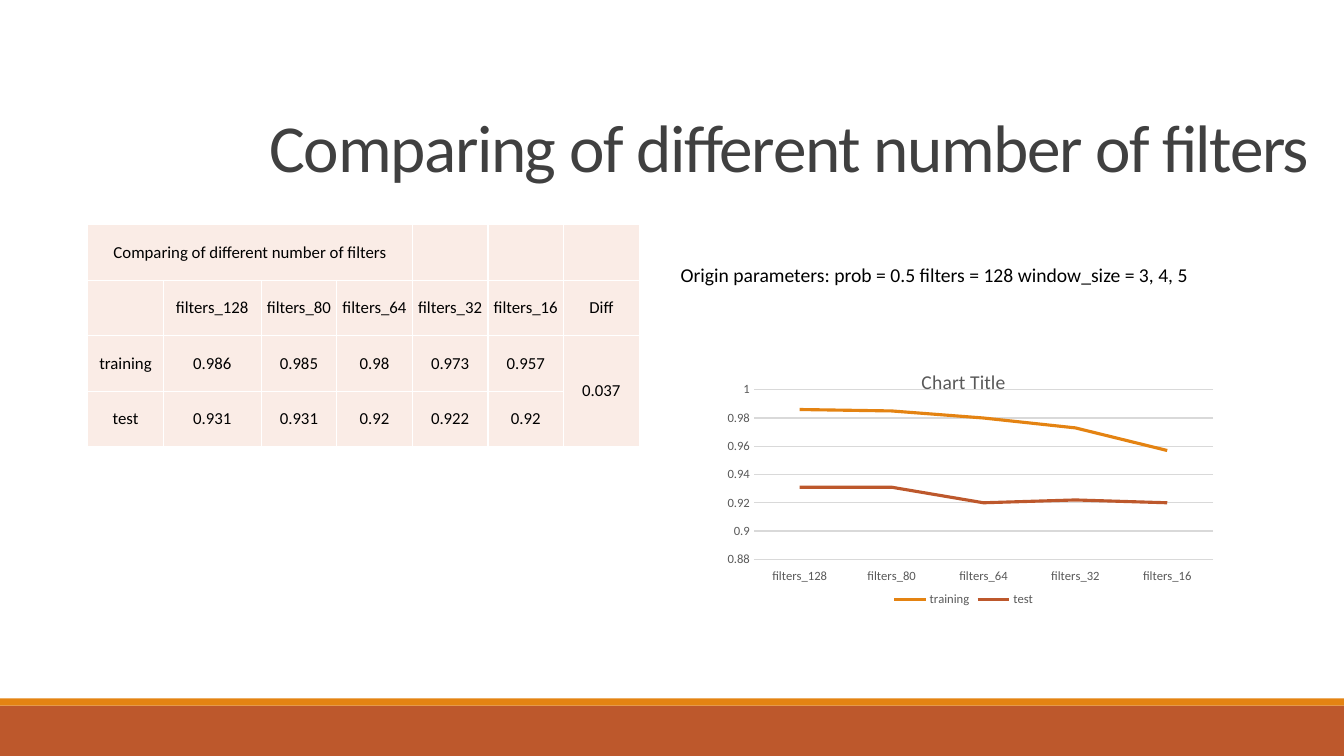
from dataclasses import dataclass

from lxml.etree import SubElement
from pptx import Presentation
from pptx.chart.data import CategoryChartData
from pptx.dml.color import RGBColor
from pptx.enum.chart import XL_CHART_TYPE as ChartType
from pptx.enum.chart import XL_LEGEND_POSITION as LegendPosition
from pptx.enum.chart import XL_TICK_LABEL_POSITION as LabelPosition
from pptx.enum.chart import XL_TICK_MARK as TickMark
from pptx.enum.shapes import MSO_SHAPE as Shape
from pptx.enum.text import MSO_ANCHOR as Anchor
from pptx.enum.text import PP_ALIGN as Align
from pptx.oxml import parse_xml
from pptx.oxml.ns import nsdecls, qn
from pptx.util import Inches, Pt


@dataclass(frozen=True)
class Theme:
    font: str = "Calibri"
    orange: str = "E48312"
    rust: str = "BD582C"
    blush: str = "FAECE6"
    white: str = "FFFFFF"
    black: str = "000000"
    title: str = "404040"
    label: str = "595959"
    grid: str = "D9D9D9"
    title_size: float = 48
    note_size: float = 14
    cell_size: float = 12
    axis_size: float = 9


THEME = Theme()
HEADING = "Comparing of different number of filters"
FILTERS = [f"filters_{count}" for count in (128, 80, 64, 32, 16)]
ACCURACY = {
    "training": (0.986, 0.985, 0.98, 0.973, 0.957),
    "test": (0.931, 0.931, 0.92, 0.922, 0.92),
}
DIFF = "0.037"


def rgb(code):
    return RGBColor.from_string(code)


def set_font(font, size, color):
    font.name = THEME.font
    font.size = Pt(size)
    font.color.rgb = rgb(color)


def add_bar(slide, top, height, color):
    bar = slide.shapes.add_shape(Shape.RECTANGLE, 0, Inches(top), Inches(13.33), Inches(height))
    bar.shadow.inherit = False
    bar.fill.solid()
    bar.fill.fore_color.rgb = rgb(color)
    bar.line.fill.background()


def add_text(slide, text, box, size, color, anchor=Anchor.TOP):
    """Add a one-paragraph text box and return its paragraph."""
    frame = slide.shapes.add_textbox(*map(Inches, box)).text_frame
    frame.word_wrap = True
    frame.vertical_anchor = anchor
    frame.margin_left = frame.margin_right = Inches(0.05)
    frame.margin_top = frame.margin_bottom = Inches(0.05)
    paragraph = frame.paragraphs[0]
    paragraph.text = text
    set_font(paragraph.font, size, color)
    return paragraph


def add_heading(slide):
    heading = add_text(slide, HEADING, (2.33, 0.31, 11, 1.59),
                       THEME.title_size, THEME.title, Anchor.BOTTOM)
    heading.alignment = Align.CENTER
    heading.line_spacing = 0.85
    for run in heading.runs:
        run.font._element.set("spc", "-100")


def style_cell(cell, text):
    cell.margin_left = cell.margin_right = Inches(0.01)
    cell.margin_top = cell.margin_bottom = Inches(0.01)
    cell.vertical_anchor = Anchor.MIDDLE
    properties = cell._tc.get_or_add_tcPr()
    for side in ("lnL", "lnR", "lnT", "lnB"):
        border = SubElement(properties, qn(f"a:{side}"), w=str(Pt(1)))
        fill = SubElement(border, qn("a:solidFill"))
        SubElement(fill, qn("a:srgbClr"), val=THEME.white)
    cell.fill.solid()
    cell.fill.fore_color.rgb = rgb(THEME.blush)
    paragraph = cell.text_frame.paragraphs[0]
    paragraph.text = text
    paragraph.alignment = Align.CENTER
    set_font(paragraph.font, THEME.cell_size, THEME.black)


def add_accuracy_table(slide):
    rows = [
        [HEADING] + [""] * 6,
        ["", *FILTERS, "Diff"],
        *([name, *map(str, values), ""] for name, values in ACCURACY.items()),
    ]
    rows[2][-1] = DIFF
    table = slide.shapes.add_table(len(rows), len(rows[0]), Inches(0.87), Inches(2.23),
                                   Inches(5.49), Inches(2.18)).table
    table.first_row = table.horz_banding = False
    for index, column in enumerate(table.columns):
        column.width = Inches(0.97 if index == 1 else 0.75)
    for row, texts in zip(table.rows, rows):
        row.height = Inches(0.55)
        for cell, text in zip(row.cells, texts):
            style_cell(cell, text)
    table.cell(0, 0).merge(table.cell(0, 3))
    table.cell(2, 6).merge(table.cell(3, 6))


def style_axis(axis):
    axis.major_tick_mark = axis.minor_tick_mark = TickMark.NONE
    set_font(axis.tick_labels.font, THEME.axis_size, THEME.label)


def place_plot(chart, **fractions):
    """Fix the inner plot area, given as fractions of the chart."""
    places = "".join(f'<c:{key} val="{value}"/>' for key, value in fractions.items())
    plot_area = chart._chartSpace.chart.plotArea
    for automatic in plot_area.findall(qn("c:layout")):
        plot_area.remove(automatic)
    plot_area.insert(0, parse_xml(
        f'<c:layout {nsdecls("c")}><c:manualLayout><c:layoutTarget val="inner"/>'
        f'<c:xMode val="edge"/><c:yMode val="edge"/>{places}</c:manualLayout></c:layout>'))


def add_accuracy_chart(slide):
    data = CategoryChartData()
    data.categories = FILTERS
    for name, values in ACCURACY.items():
        data.add_series(name, values)
    chart = slide.shapes.add_chart(ChartType.LINE, Inches(7.08), Inches(3.51),
                                   Inches(4.96), Inches(2.55), data).chart
    set_font(chart.font, THEME.axis_size, THEME.label)
    chart.has_title = True
    title = chart.chart_title.text_frame.paragraphs[0]
    title.text = "Chart Title"
    set_font(title.font, THEME.note_size, THEME.label)
    title.font.bold = False

    chart.has_legend = True
    chart.legend.position = LegendPosition.BOTTOM
    chart.legend.include_in_layout = True
    set_font(chart.legend.font, THEME.axis_size, THEME.label)

    categories, scale = chart.category_axis, chart.value_axis
    style_axis(categories)
    categories.tick_label_position = LabelPosition.LOW
    style_axis(scale)
    scale.minimum_scale, scale.maximum_scale, scale.major_unit = 0.88, 1, 0.02
    scale.tick_labels.number_format = "General"
    scale.tick_labels.number_format_is_linked = False
    scale.format.line.fill.background()
    for line in (categories.format.line, scale.major_gridlines.format.line):
        line.color.rgb = rgb(THEME.grid)
        line.width = Pt(1)

    chart.plots[0].vary_by_categories = False
    for series, color in zip(chart.plots[0].series, (THEME.orange, THEME.rust)):
        series.smooth = False
        series.format.line.color.rgb = rgb(color)
        series.format.line.width = Pt(2.25)
    place_plot(chart, x=0.08, y=0.14, w=0.92, h=0.66)


def main():
    deck = Presentation()
    deck.slide_width, deck.slide_height = Inches(13.33), Inches(7.5)
    slide = deck.slides.add_slide(deck.slide_layouts[6])
    add_bar(slide, 7, 0.5, THEME.rust)
    add_bar(slide, 6.93, 0.07, THEME.orange)
    add_heading(slide)
    add_accuracy_table(slide)
    add_accuracy_chart(slide)
    add_text(slide, "Origin parameters: prob = 0.5 filters = 128 window_size = 3, 4, 5",
             (6.7, 2.56, 6.6, 0.32), THEME.note_size, THEME.black)
    deck.save("out.pptx")


if __name__ == "__main__":
    main()
